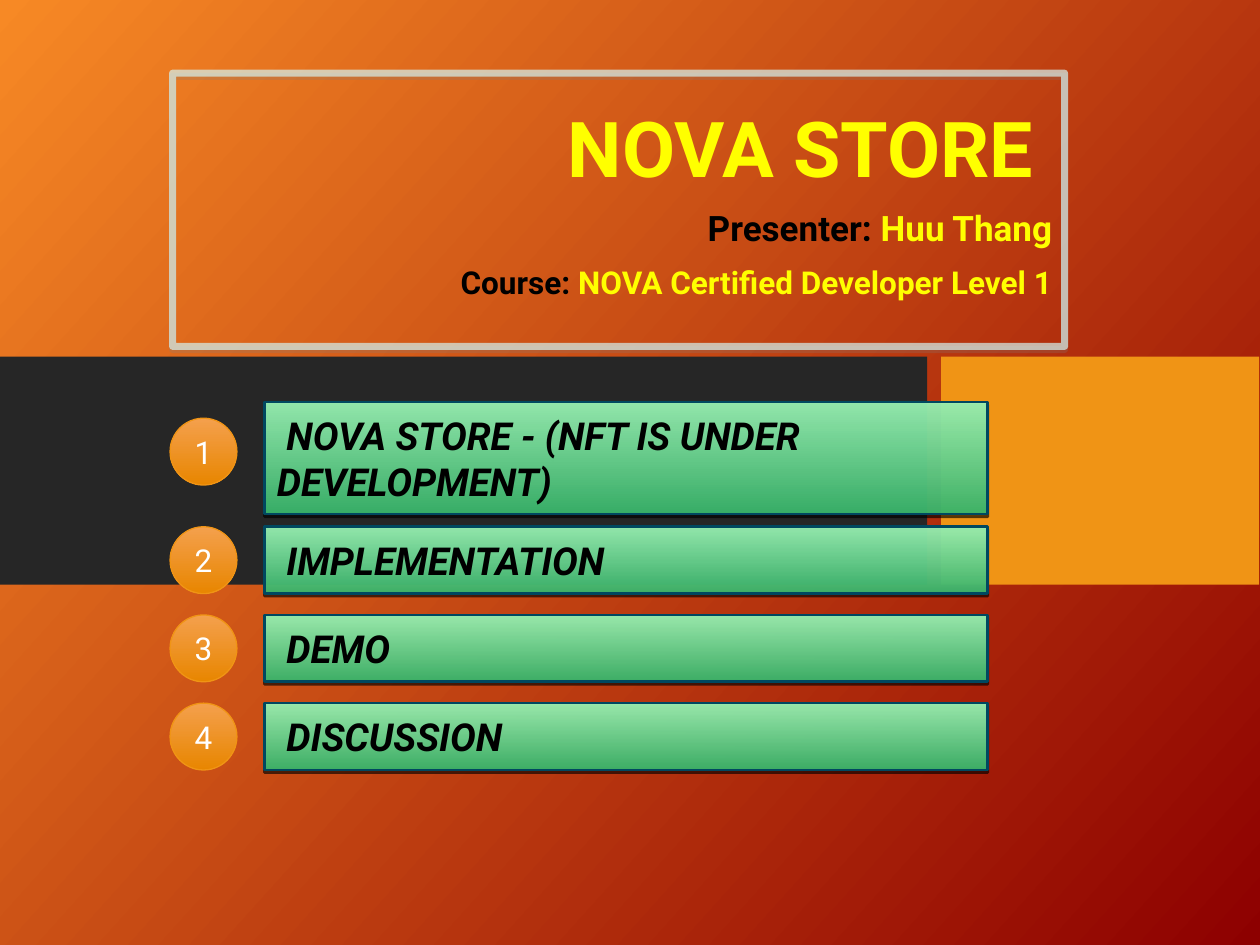
from lxml import etree
from pptx import Presentation
from pptx.dml.color import RGBColor
from pptx.enum.shapes import MSO_SHAPE
from pptx.enum.text import MSO_ANCHOR, MSO_AUTO_SIZE, PP_ALIGN
from pptx.oxml.ns import qn
from pptx.util import Pt

RECT, OVAL = MSO_SHAPE.RECTANGLE, MSO_SHAPE.OVAL
TOP, MIDDLE = MSO_ANCHOR.TOP, MSO_ANCHOR.MIDDLE
LEFT, CENTER, RIGHT = PP_ALIGN.LEFT, PP_ALIGN.CENTER, PP_ALIGN.RIGHT
GROW = MSO_AUTO_SIZE.SHAPE_TO_FIT_TEXT

FONT = "Roboto"
BLACK, WHITE, YELLOW, AMBER = "000000", "FFFFFF", "FFFF00", "F09415"

BADGE_LEFT, BADGE_SIZE = 97.2, 38.2
BAR_LEFT, BAR_WIDTH = 151.2, 413.3
SINGLE_TOP, SINGLE_PITCH = 301, 50.4

TITLE_LINES = [
    (44, [("NOVA STORE ", YELLOW)]),
    (20, [("Presenter: ", BLACK), ("Huu Thang", YELLOW)]),
    (18, [("Course: ", BLACK), ("NOVA Certified Developer Level 1", YELLOW)]),
]
FIRST_TOPIC = " NOVA STORE - (NFT IS UNDER DEVELOPMENT)"
SHORT_TOPICS = [" IMPLEMENTATION", " DEMO", " DISCUSSION"]


def rgb(hex_color):
    return RGBColor.from_string(hex_color)


def set_gradient(fill, start, end, angle):
    """Two-colour gradient; angle in degrees, counterclockwise."""
    fill.gradient()
    fill.gradient_angle = angle
    for stop, color in zip(fill.gradient_stops, (start, end)):
        stop.color.rgb = rgb(color)


def set_opacity(colors, percent):
    for color in colors:
        etree.SubElement(color, qn("a:alpha"), val=str(percent * 1000))


def drop_shadow(shape, color, opacity, distance):
    effects = shape.element.spPr.find(qn("a:effectLst"))
    shadow = etree.SubElement(effects, qn("a:outerShdw"), blurRad="0",
                              dist=str(Pt(distance)), dir="5400000",
                              algn="ctr", rotWithShape="0")
    set_opacity([etree.SubElement(shadow, qn("a:srgbClr"), val=color)], opacity)


def add_shape(slide, kind, left, top, width, height, line=None, line_width=0):
    shape = slide.shapes.add_shape(kind, Pt(left), Pt(top), Pt(width), Pt(height))
    shape.shadow.inherit = False
    if line:
        shape.line.color.rgb = rgb(line)
        shape.line.width = Pt(line_width)
    else:
        shape.line.fill.background()
    return shape


def add_block(slide, left, width, color):
    block = add_shape(slide, RECT, left, 203.8, width, 130.3)
    block.fill.solid()
    block.fill.fore_color.rgb = rgb(color)


def add_run(paragraph, text, size, color, bold=False, italic=False):
    run = paragraph.add_run()
    run.text = text
    font = run.font
    font.name, font.size = FONT, Pt(size)
    font.bold, font.italic = bold, italic
    font.color.rgb = rgb(color)


def set_frame(frame, anchor, vertical_inset):
    frame.word_wrap = True
    frame.vertical_anchor = anchor
    frame.margin_left = frame.margin_right = Pt(7.2)
    frame.margin_top = frame.margin_bottom = Pt(vertical_inset)


def add_title(slide):
    frame = slide.shapes.add_textbox(Pt(104.4), Pt(59.8), Pt(504), Pt(131.8)).text_frame
    set_frame(frame, TOP, 3.6)
    for index, (size, parts) in enumerate(TITLE_LINES):
        paragraph = frame.add_paragraph() if index else frame.paragraphs[0]
        paragraph.alignment = RIGHT
        paragraph.line_spacing = 0.9
        paragraph.space_before = Pt(10)
        for text, color in parts:
            add_run(paragraph, text, size, color, bold=True)


def add_title_border(slide):
    border = add_shape(slide, RECT, 98.6, 41.8, 509.8, 156.2, "D4F2EF", 4)
    border.fill.background()
    set_opacity(border.element.spPr.xpath("./a:ln//a:srgbClr"), 70)
    etree.SubElement(border.line._get_or_add_ln(), qn("a:round"))
    drop_shadow(border, "808080", 35, 1.8)


def add_topic_bar(slide, text, top, height):
    bar = add_shape(slide, RECT, BAR_LEFT, top, BAR_WIDTH, height, "004860", 1.5)
    set_gradient(bar.fill, "3CBE70", "A0FDBC", 90)
    set_opacity(bar.element.spPr.xpath("./a:gradFill//a:srgbClr"), 90)
    drop_shadow(bar, BLACK, 63, 1.5)
    set_frame(bar.text_frame, TOP, 5.76)
    bar.text_frame.auto_size = GROW
    paragraph = bar.text_frame.paragraphs[0]
    paragraph.alignment = LEFT
    paragraph.space_before = Pt(5.5)
    add_run(paragraph, text, 22, BLACK, bold=True, italic=True)


def add_badge(slide, number, top):
    badge = add_shape(slide, OVAL, BADGE_LEFT, top, BADGE_SIZE, BADGE_SIZE, AMBER, 0.75)
    set_gradient(badge.fill, "F4A04D", "E88600", 270)
    set_frame(badge.text_frame, MIDDLE, 3.6)
    paragraph = badge.text_frame.paragraphs[0]
    paragraph.alignment = CENTER
    add_run(paragraph, str(number), 18, WHITE)


def main():
    presentation = Presentation()
    presentation.slide_width, presentation.slide_height = Pt(720), Pt(540)
    slide = presentation.slides.add_slide(presentation.slide_layouts[6])
    set_gradient(slide.background.fill, "F78925", "8D0000", 318)

    add_block(slide, 0, 529.9, "262626")
    add_block(slide, 537.8, 181.7, AMBER)
    add_title(slide)
    add_title_border(slide)

    add_topic_bar(slide, FIRST_TOPIC, 229.7, 64.1)
    add_badge(slide, 1, 239)
    for index, topic in enumerate(SHORT_TOPICS):
        top = SINGLE_TOP + index * SINGLE_PITCH
        add_topic_bar(slide, topic, top, BADGE_SIZE)
        add_badge(slide, index + 2, top)

    presentation.save("out.pptx")


if __name__ == "__main__":
    main()
